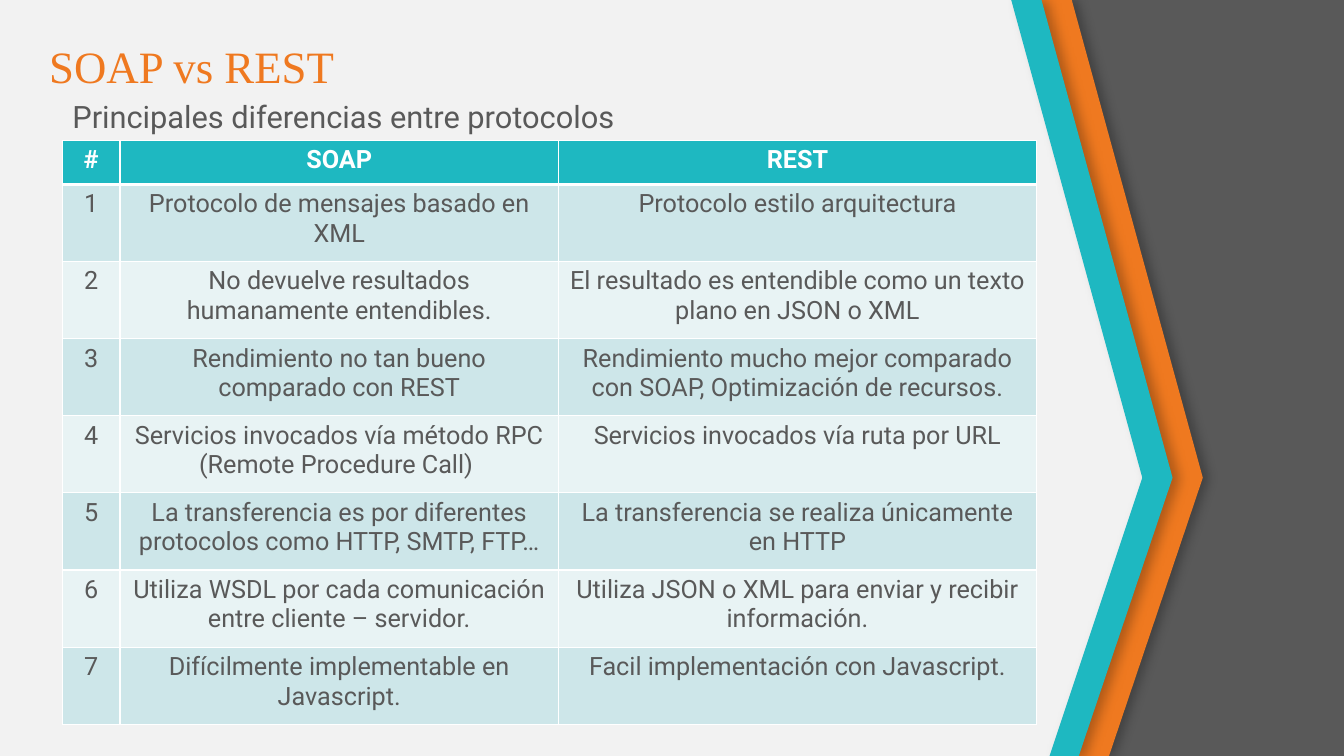
from lxml import etree
from pptx import Presentation
from pptx.dml.color import RGBColor
from pptx.enum import text
from pptx.oxml import parse_xml
from pptx.oxml.ns import nsdecls
from pptx.util import Inches, Pt

GRAY = RGBColor(0x59, 0x59, 0x59)
ORANGE = RGBColor(0xEF, 0x79, 0x20)
TEAL = RGBColor(0x1E, 0xB8, 0xC1)
WHITE = RGBColor(0xFF, 0xFF, 0xFF)
PAPER = RGBColor(0xF2, 0xF2, 0xF2)
DARK = RGBColor(0xCD, 0xE6, 0xE9)
LIGHT = RGBColor(0xE8, 0xF3, 0xF4)

SHADOW = (f'<a:effectLst {nsdecls("a")}><a:outerShdw blurRad="{Pt(8)}" dist="{Pt(4)}" dir="0">'
          '<a:srgbClr val="000000"><a:alpha val="25000"/></a:srgbClr>'
          '</a:outerShdw></a:effectLst>')


def style(par, size, color, font="Roboto", bold=False):
    for run in par.runs:
        run.font.size = Pt(size)
        run.font.name = font
        run.font.bold = bold
        run.font.color.rgb = color


deck = Presentation()
deck.slide_width, deck.slide_height = Inches(13.33), Inches(7.5)
slide = deck.slides.add_slide(deck.slide_layouts[6])
slide.background.fill.solid()
slide.background.fill.fore_color.rgb = PAPER

# Side panel and its two chevron bands, from back to front
bands = [
    (GRAY, False, [(10.52, 0), (13.33, 0), (13.33, 7.5), (10.89, 7.5), (11.82, 4.74)]),
    (ORANGE, True, [(10.1, 0), (10.63, 0), (11.93, 4.74), (11, 7.5), (10.48, 7.5), (11.4, 4.74)]),
    (TEAL, True, [(10.03, 0), (10.33, 0), (11.63, 4.74), (10.7, 7.5), (10.41, 7.5), (11.33, 4.74)]),
]
for color, raised, points in bands:
    points = [(Inches(x), Inches(y)) for x, y in points]
    outline = slide.shapes.build_freeform(*points[0])
    outline.add_line_segments(points[1:])
    band = outline.convert_to_shape()
    band.fill.solid()
    band.fill.fore_color.rgb = color
    band.line.fill.background()
    if raised:
        band._element.spPr.append(parse_xml(SHADOW))
    else:
        band.shadow.inherit = False

# Title and subtitle
heads = [
    ("SOAP vs REST", 0.39, 0.37, 8.8, 0.6, 32, ORANGE, "Times New Roman", text.MSO_ANCHOR.BOTTOM),
    ("Principales diferencias entre protocolos", 0.62, 0.96, 9.28, 0.43, 22, GRAY, "Roboto",
     text.MSO_ANCHOR.TOP),
]
for words, x, y, w, h, size, color, font, anchor in heads:
    frame = slide.shapes.add_textbox(Inches(x), Inches(y), Inches(w), Inches(h)).text_frame
    frame.word_wrap = True
    frame.vertical_anchor = anchor
    frame.text = words
    frame.paragraphs[0].line_spacing = 0.9
    style(frame.paragraphs[0], size, color, font)

# Comparison table
pairs = [
    ("Protocolo de mensajes basado en XML", "Protocolo estilo arquitectura"),
    ("No devuelve resultados humanamente entendibles.",
     "El resultado es entendible como un texto plano en JSON o XML"),
    ("Rendimiento no tan bueno comparado con REST",
     "Rendimiento mucho mejor comparado con SOAP, Optimización de recursos."),
    ("Servicios invocados vía método RPC\n(Remote Procedure Call) ",
     "Servicios invocados vía ruta por URL"),
    ("La transferencia es por diferentes protocolos como HTTP, SMTP, FTP…",
     "La transferencia se realiza únicamente en HTTP"),
    ("Utiliza WSDL por cada comunicación entre cliente – servidor.",
     "Utiliza JSON o XML para enviar y recibir información."),
    ("Difícilmente implementable en Javascript.", "Facil implementación con Javascript."),
]
rows = [("#", "SOAP", "REST")] + [(str(n), *pair) for n, pair in enumerate(pairs, 1)]
table = slide.shapes.add_table(len(rows), 3, Inches(0.62), Inches(1.39),
                               Inches(9.66), Inches(5.8)).table
for col, width in zip(table.columns, (0.57, 4.35, 4.74)):
    col.width = Inches(width)
for r, row in enumerate(rows):
    head = r == 0
    table.rows[r].height = Inches(0.44 if head else 0.765)
    for c, words in enumerate(row):
        cell = table.cell(r, c)
        cell.text = words
        cell.fill.solid()
        cell.fill.fore_color.rgb = TEAL if head else DARK if r % 2 else LIGHT
        for par in cell.text_frame.paragraphs:
            par.alignment = text.PP_ALIGN.CENTER
            style(par, 18, WHITE if head else GRAY, bold=head)
        # Borders: white, heavier under the header
        props = cell._tc.get_or_add_tcPr()
        for i, side in enumerate(("lnL", "lnR", "lnT", "lnB")):
            heavy = (head and side == "lnB") or (r == 1 and side == "lnT")
            props.insert(i, etree.fromstring(
                f'<a:{side} {nsdecls("a")} w="{Pt(3 if heavy else 1)}"><a:solidFill>'
                f'<a:srgbClr val="{WHITE}"/></a:solidFill></a:{side}>'))

deck.save("out.pptx")
